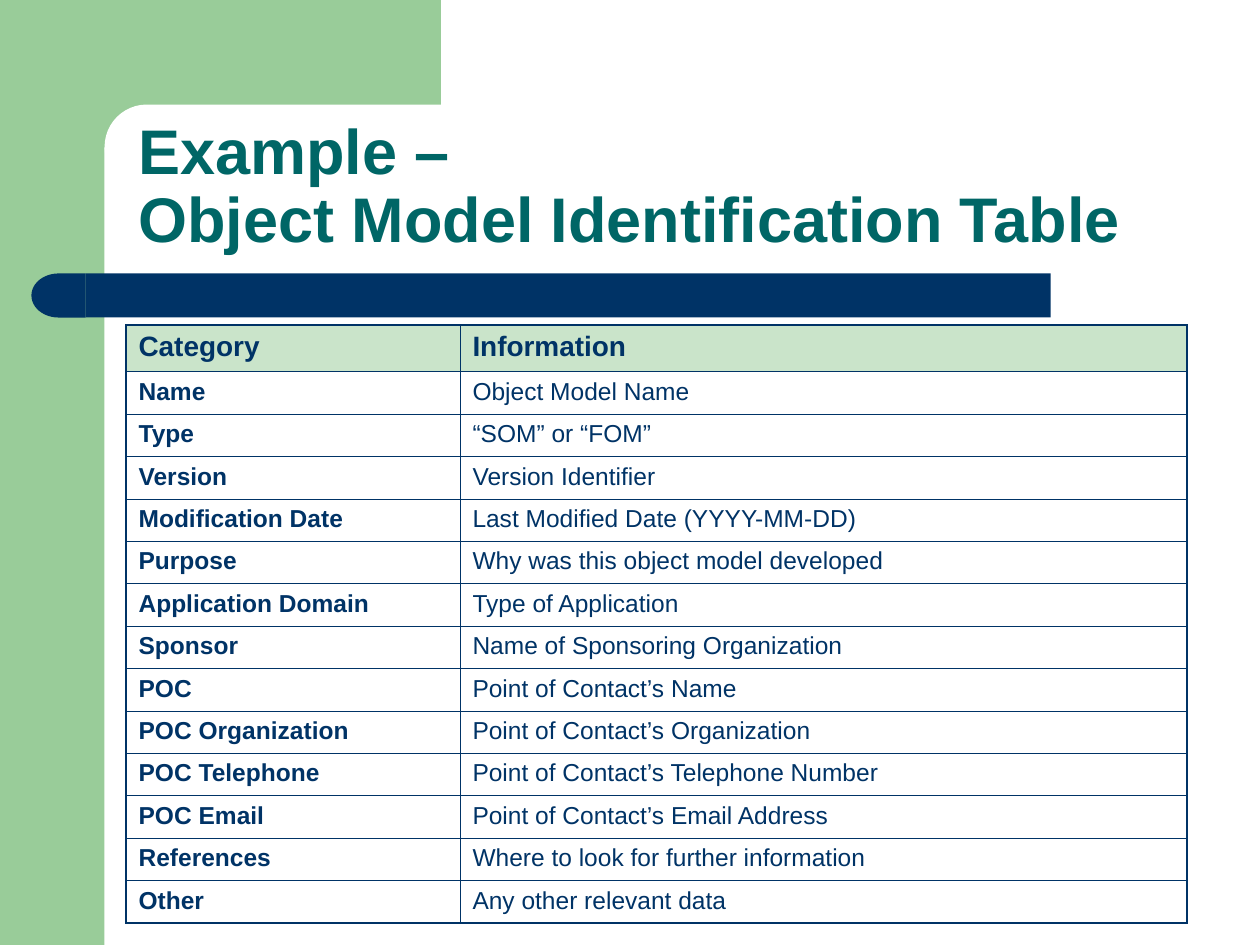
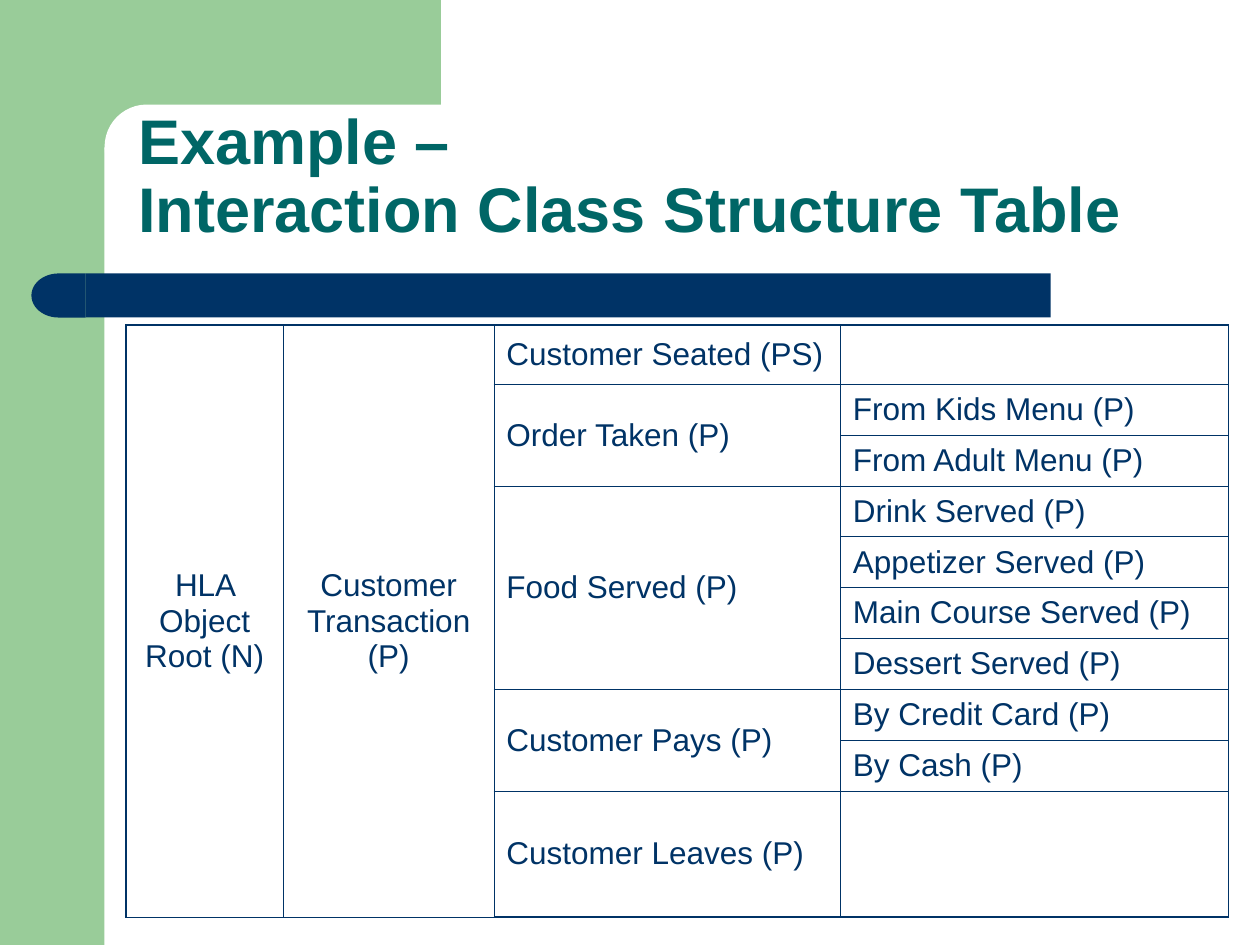
import pptx
import pptx.util
import pptx.dml.color
import pptx.enum.shapes
import pptx.enum.text
import pptx.oxml.ns
from lxml import etree

Inches = pptx.util.Inches
Shape = pptx.enum.shapes.MSO_SHAPE
Anchor = pptx.enum.text.MSO_ANCHOR
Align = pptx.enum.text.PP_ALIGN

GREEN = "99CC99"
PALE_GREEN = "CAE4CA"
NAVY = "003366"
TEAL = "006666"
WHITE = "FFFFFF"
FONT = "Arial"
OUTER_LINE = 1.08
INNER_LINE = 0.45

IDENTIFICATION_ROWS = [
    ("Category", "Information"),
    ("Name", "Object Model Name"),
    ("Type", "“SOM” or “FOM”"),
    ("Version", "Version Identifier"),
    ("Modification Date", "Last Modified Date (YYYY-MM-DD)"),
    ("Purpose", "Why was this object model developed"),
    ("Application Domain", "Type of Application"),
    ("Sponsor", "Name of Sponsoring Organization"),
    ("POC", "Point of Contact’s Name"),
    ("POC Organization", "Point of Contact’s Organization"),
    ("POC Telephone", "Point of Contact’s Telephone Number"),
    ("POC Email", "Point of Contact’s Email Address"),
    ("References", "Where to look for further information"),
    ("Other", "Any other relevant data"),
]

ROOT_CLASSES = ["HLA Object Root (N)", "Customer Transaction (P)"]
INTERACTIONS = [
    ("Customer Seated (PS)", []),
    ("Order Taken (P)", ["From Kids Menu (P)", "From Adult Menu (P)"]),
    ("Food Served (P)", ["Drink Served (P)", "Appetizer Served (P)",
                         "Main Course Served (P)", "Dessert Served (P)"]),
    ("Customer Pays (P)", ["By Credit Card (P)", "By Cash (P)"]),
    ("Customer Leaves (P)", []),
]


def color(hex_string):
    return pptx.dml.color.RGBColor.from_string(hex_string)


def add_run(paragraph, text, size, hex_color, bold):
    run = paragraph.add_run()
    run.text = text
    run.font.name = FONT
    run.font.size = pptx.util.Pt(size)
    run.font.bold = bold
    run.font.color.rgb = color(hex_color)


def add_plain_shape(slide, kind, box, hex_color):
    shape = slide.shapes.add_shape(kind, *map(Inches, box))
    shape.shadow.inherit = False
    shape.fill.solid()
    shape.fill.fore_color.rgb = color(hex_color)
    shape.line.fill.background()
    return shape


def add_frame(slide):
    add_plain_shape(slide, Shape.RECTANGLE, (0, 0, 0.83, 7.5), GREEN)
    add_plain_shape(slide, Shape.RECTANGLE, (0.75, 0, 2.75, 1.17), GREEN)
    corner = add_plain_shape(slide, Shape.ROUNDED_RECTANGLE, (0.83, 0.83, 5.58, 0.67), WHITE)
    corner.adjustments[0] = 0.5


def add_title_bar(slide, box):
    left, top, width, height = box
    cap_width = 0.43
    add_plain_shape(slide, Shape.RECTANGLE,
                    (left + cap_width, top, width - cap_width, height), NAVY)
    cap = add_plain_shape(slide, Shape.FLOWCHART_DELAY, (left, top, cap_width, height), NAVY)
    cap.element.spPr.xfrm.set("flipH", "1")


def add_title(slide, box, lines):
    frame = slide.shapes.add_textbox(*map(Inches, box)).text_frame
    frame.word_wrap = True
    frame.vertical_anchor = Anchor.BOTTOM
    paragraph = frame.paragraphs[0]
    paragraph.line_spacing = 0.9
    for index, line in enumerate(lines):
        if index:
            paragraph.add_line_break()
        add_run(paragraph, line, 36, TEAL, True)


def add_slide(presentation, title_top, title_lines):
    slide = presentation.slides.add_slide(presentation.slide_layouts[6])
    add_frame(slide)
    add_title_bar(slide, (0.25, 2.17, 8.09, 0.35))
    add_title(slide, (1, title_top, 8.75, 1.25), title_lines)
    return slide


def set_border(cell, side, width):
    properties = cell._tc.get_or_add_tcPr()
    line = etree.SubElement(properties, pptx.oxml.ns.qn("a:ln" + side),
                            w=str(pptx.util.Pt(width)))
    fill = etree.SubElement(line, pptx.oxml.ns.qn("a:solidFill"))
    etree.SubElement(fill, pptx.oxml.ns.qn("a:srgbClr"), val=NAVY)


def add_grid(slide, left, top, column_widths, row_heights):
    box = (left, top, sum(column_widths), sum(row_heights))
    last_row, last_column = len(row_heights) - 1, len(column_widths) - 1
    table = slide.shapes.add_table(last_row + 1, last_column + 1, *map(Inches, box)).table
    table.first_row = False
    table.horz_banding = False
    for column, width in zip(table.columns, column_widths):
        column.width = Inches(width)
    for row_index, height in enumerate(row_heights):
        table.rows[row_index].height = Inches(height)
        for column_index in range(last_column + 1):
            cell = table.cell(row_index, column_index)
            outer_sides = {"L": column_index == 0, "R": column_index == last_column,
                           "T": row_index == 0, "B": row_index == last_row}
            for side, is_outer in outer_sides.items():
                set_border(cell, side, OUTER_LINE if is_outer else INNER_LINE)
            cell.fill.background()
    return table


def write_cell(cell, text, size, bold=False, anchor=Anchor.TOP, alignment=Align.LEFT):
    cell.vertical_anchor = anchor
    paragraph = cell.text_frame.paragraphs[0]
    paragraph.alignment = alignment
    add_run(paragraph, text, size, NAVY, bold)


def add_identification_table(slide, left, top, height):
    header_height = 0.37
    body_count = len(IDENTIFICATION_ROWS) - 1
    row_heights = [header_height] + [(height - header_height) / body_count] * body_count
    table = add_grid(slide, left, top, [2.65, 5.77], row_heights)
    for row_index, texts in enumerate(IDENTIFICATION_ROWS):
        is_header = row_index == 0
        for column_index, text in enumerate(texts):
            cell = table.cell(row_index, column_index)
            write_cell(cell, text, 16 if is_header else 14, is_header or column_index == 0)
            if is_header:
                cell.fill.solid()
                cell.fill.fore_color.rgb = color(PALE_GREEN)


def add_interaction_table(slide, left, top, height):
    first_height, last_height = 0.47, 1
    row_count = sum(max(1, len(subclasses)) for _, subclasses in INTERACTIONS)
    middle_count = row_count - 2
    middle_height = (height - first_height - last_height) / middle_count
    row_heights = [first_height] + [middle_height] * middle_count + [last_height]
    table = add_grid(slide, left, top, [1.25, 1.67, 2.75, 3.08], row_heights)
    for column_index, text in enumerate(ROOT_CLASSES):
        cell = table.cell(0, column_index)
        cell.merge(table.cell(row_count - 1, column_index))
        write_cell(cell, text, 18, anchor=Anchor.MIDDLE, alignment=Align.CENTER)
    row_index = 0
    for interaction, subclasses in INTERACTIONS:
        span = max(1, len(subclasses))
        cell = table.cell(row_index, 2)
        if span > 1:
            cell.merge(table.cell(row_index + span - 1, 2))
        write_cell(cell, interaction, 18, anchor=Anchor.MIDDLE)
        for offset, subclass in enumerate(subclasses):
            write_cell(table.cell(row_index + offset, 3), subclass, 18, anchor=Anchor.MIDDLE)
        row_index += span


def main():
    presentation = pptx.Presentation()
    presentation.slide_width = Inches(10)
    presentation.slide_height = Inches(7.5)
    slide = add_slide(presentation, 0.83, ["Example –", "Object Model Identification Table"])
    add_identification_table(slide, 1, 2.58, 4.75)
    slide = add_slide(presentation, 0.75, ["Example –", "Interaction Class Structure Table"])
    add_interaction_table(slide, 1, 2.58, 4.7)
    presentation.save("out.pptx")


if __name__ == "__main__":
    main()
